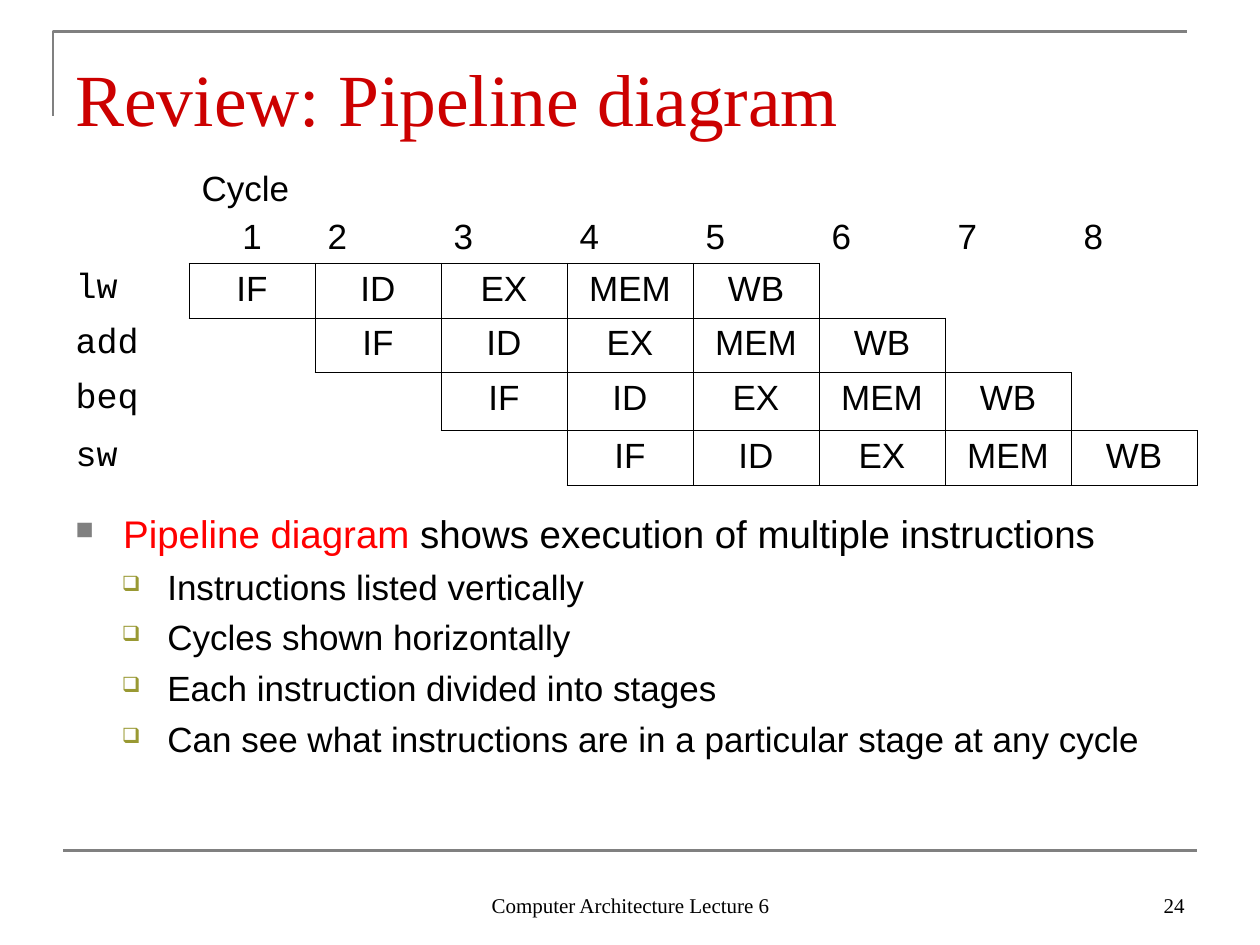
from lxml import etree
from pptx import Presentation
from pptx.dml.color import RGBColor
from pptx.enum.shapes import MSO_CONNECTOR
from pptx.enum.text import MSO_ANCHOR, PP_ALIGN
from pptx.oxml.ns import qn
from pptx.util import Inches, Pt

LEFT, MID, RIGHT = PP_ALIGN.LEFT, PP_ALIGN.CENTER, PP_ALIGN.RIGHT
TOP, LOW = MSO_ANCHOR.TOP, MSO_ANCHOR.BOTTOM
SERIF, SANS, MONO = "Times New Roman", "Arial", "Courier New"
BLACK, GRAY, RED, OLIVE, CRIMSON = "000000", "808080", "FF0000", "999933", "CC0000"
PLAIN = "{2D5ABB26-0587-4C30-8999-92F81FD0307C}"

TITLE = "Review: Pipeline diagram"
FOOTER = "Computer Architecture Lecture 6"
NUMBER = "24"
CODE = ["lw", "add", "beq", "sw"]
STAGES = ["IF", "ID", "EX", "MEM", "WB"]
CYCLES = len(CODE) + len(STAGES) - 1
ROWS = [0.84, 0.43, 0.43, 0.46, 0.43]
LEAD = [("Pipeline diagram", RED), (" shows execution of multiple instructions", BLACK)]
POINTS = [
    "Instructions listed vertically",
    "Cycles shown horizontally",
    "Each instruction divided into stages",
    "Can see what instructions are in a particular stage at any cycle",
]


def paint(code):
    return RGBColor.from_string(code)


def add(parent, tag, **attrs):
    node = etree.SubElement(parent, qn(tag))
    for key, value in attrs.items():
        node.set(key, str(value))
    return node


def write(frame, text, size=20, font=SANS, color=BLACK, align=LEFT, before=0, bullet=None):
    first = frame.paragraphs[0]
    para = frame.add_paragraph() if first.runs else first
    if bullet:
        mark, tint, scale, indent, hang = bullet
        props = para._p.get_or_add_pPr()
        props.set("marL", str(Inches(indent)))
        props.set("indent", str(-Inches(hang)))
        add(add(props, "a:buClr"), "a:srgbClr", val=tint)
        add(props, "a:buSzPct", val=scale * 1000)
        add(props, "a:buChar", char=mark)
    para.alignment = align
    para.space_before = Pt(before)
    for words, hue in [(text, color)] if isinstance(text, str) else text:
        run = para.add_run()
        run.text = words
        run.font.size = Pt(size)
        run.font.name = font
        run.font.color.rgb = paint(hue)


def box(slide, x, y, w, h, anchor=TOP):
    frame = slide.shapes.add_textbox(*map(Inches, (x, y, w, h))).text_frame
    frame.word_wrap = True
    frame.vertical_anchor = anchor
    return frame


def stroke(shape):
    shape.line.color.rgb = paint(GRAY)
    shape.line.width = Pt(1.5)


def border(cell):
    props = cell._tc.get_or_add_tcPr()
    for spot, side in enumerate("LRTB"):
        line = add(props, "a:ln" + side, w=Pt(0.45))
        add(add(line, "a:solidFill"), "a:srgbClr", val=BLACK)
        props.insert(spot, line)


def frame_lines(slide):
    path = slide.shapes.build_freeform(Inches(0.42), Inches(0.92))
    corner = [(Inches(0.42), Inches(0.25)), (Inches(9.42), Inches(0.25))]
    path.add_line_segments(corner, close=False)
    bracket = path.convert_to_shape()
    bracket.shadow.inherit = False
    bracket.fill.background()
    stroke(bracket)
    rule = slide.shapes.add_connector(
        MSO_CONNECTOR.STRAIGHT, Inches(0.5), Inches(6.75), Inches(9.5), Inches(6.75))
    add(rule._element.spPr, "a:effectLst")
    stroke(rule)


def pipeline(slide):
    grid = slide.shapes.add_table(
        len(ROWS), CYCLES + 1, Inches(0.5), Inches(1.25), Inches(9), Inches(sum(ROWS))).table
    grid.first_row = grid.horz_banding = False
    grid._tbl.tblPr.find(qn("a:tableStyleId")).text = PLAIN
    for row, high in zip(grid.rows, ROWS):
        row.height = Inches(high)
    for col in grid.columns:
        col.width = Inches(1)
    for cell in grid.iter_cells():
        cell.fill.background()

    write(grid.cell(0, 1).text_frame, "Cycle")
    for cycle in range(1, CYCLES + 1):
        cell = grid.cell(0, cycle)
        cell.vertical_anchor = LOW
        start = cycle == 1
        write(cell.text_frame, str(cycle), align=MID if start else LEFT, before=5 if start else 0)

    for row, code in enumerate(CODE, 1):
        write(grid.cell(row, 0).text_frame, code, font=MONO)
        for col, stage in enumerate(STAGES, row):
            cell = grid.cell(row, col)
            write(cell.text_frame, stage, align=MID)
            border(cell)


def main():
    deck = Presentation()
    deck.slide_width, deck.slide_height = Inches(10), Inches(7.5)
    slide = deck.slides.add_slide(deck.slide_layouts[6])
    frame_lines(slide)
    write(box(slide, 3.42, 6.83, 3.17, 0.5, LOW), FOOTER, size=12, font=SERIF, align=MID)
    write(box(slide, 7.17, 6.83, 2.33, 0.5, LOW), NUMBER, size=12, font=SERIF, align=RIGHT)
    title = box(slide, 0.5, 0.3, 9, 0.78)
    title.margin_top = Inches(0.12)
    write(title, TITLE, size=42, font=SERIF, color=CRIMSON)
    pipeline(slide)
    body = box(slide, 0.5, 4, 9, 2.7)
    write(body, LEAD, size=22, bullet=("■", GRAY, 65, 0.38, 0.38))
    for point in POINTS:
        write(body, point, before=5, bullet=("❑", OLIVE, 60, 0.73, 0.36))
    deck.save("out.pptx")


if __name__ == "__main__":
    main()
